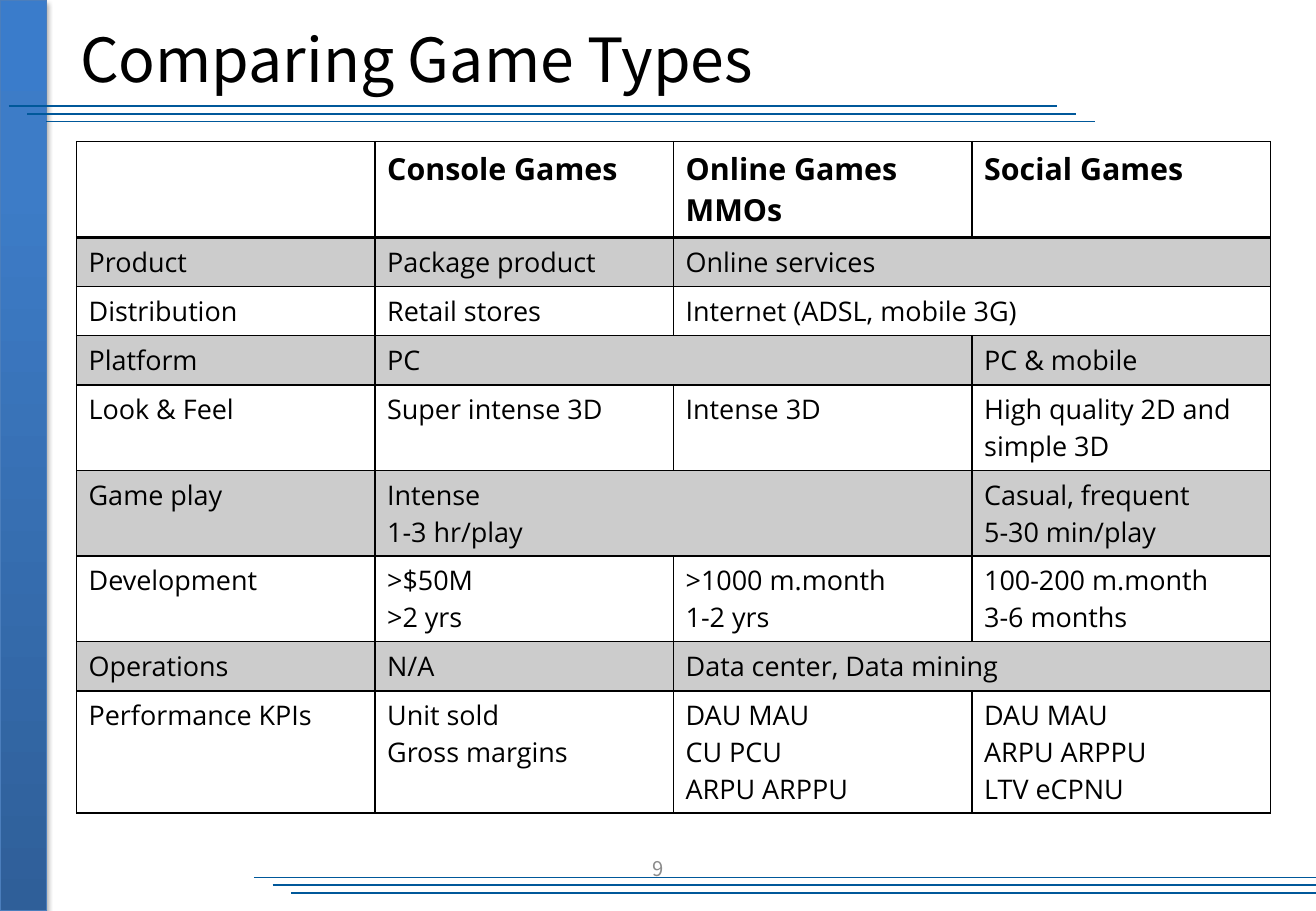
from copy import deepcopy

from lxml import etree
from pptx import Presentation
from pptx import util as u
from pptx.dml.color import RGBColor
from pptx.enum import shapes, text
from pptx.oxml.ns import qn

WIDTH, HEIGHT = 27.51, 19.05
HEAD_FONT, BODY_FONT = "Noto Sans CJK JP", "Open Sans"
BLACK, RULE_BLUE, ROW_GREY = "000000", "00589A", "CCCCCC"

# None continues the cell to its left.
ROWS = [
    ["", "Console Games", "Online Games\nMMOs", "Social Games"],
    ["Product", "Package product", "Online services", None],
    ["Distribution", "Retail stores", "Internet (ADSL, mobile 3G)", None],
    ["Platform", "PC", None, "PC & mobile"],
    ["Look & Feel", "Super intense 3D", "Intense 3D",
     "High quality 2D and simple 3D"],
    ["Game play", "Intense\n1-3 hr/play", None,
     "Casual, frequent\n5-30 min/play"],
    ["Development", ">$50M\n>2 yrs", ">1000 m.month\n1-2 yrs",
     "100-200 m.month\n3-6 months"],
    ["Operations", "N/A", "Data center, Data mining", None],
    ["Performance KPIs", "Unit sold\nGross margins",
     "DAU MAU\nCU PCU\nARPU ARPPU", "DAU MAU\nARPU ARPPU\nLTV eCPNU"],
]
ROW_LINES = [2, 1, 1, 1, 2, 2, 2, 1, 3]


def rgb(value):
    """Turn a hex string into a colour."""
    return RGBColor.from_string(value)


def box(left, top, width, height):
    """Give a position and size in centimetres."""
    return [u.Cm(v) for v in (left, top, width, height)]


def style(tf, size, font, color=BLACK, bold=False, align=None):
    """Format every paragraph of a text frame."""
    for p in tf.paragraphs:
        p.font.size, p.font.name, p.font.bold = u.Pt(size), font, bold
        p.font.color.rgb = rgb(color)
        p.alignment = align


def add_side_bar(s):
    """Draw the shaded bar along the left edge."""
    sp = s.shapes.add_shape(shapes.MSO_SHAPE.RECTANGLE,
                            *box(0, 0, 0.97, HEIGHT))
    sp.fill.gradient()
    sp.fill.gradient_angle = 90
    stop_list = sp._element.spPr.find(".//" + qn("a:gsLst"))
    stop_list.append(deepcopy(stop_list[0]))
    stops = [(0, "2F5F99"), (0.8, "3D7CC7"), (1, "3A7CCB")]
    for stop, (position, color) in zip(sp.fill.gradient_stops, stops):
        stop.position = position
        stop.color.rgb = rgb(color)
    sp.line.color.rgb = rgb("4B7EBC")
    sp.line.width = u.Pt(0.75)
    sp.shadow.inherit = False
    shadow = etree.SubElement(
        sp._element.spPr.find(qn("a:effectLst")), qn("a:outerShdw"),
        blurRad=str(u.Pt(3.1)), dist=str(u.Pt(1.8)), dir="5400000",
        rotWithShape="0")
    color = etree.SubElement(shadow, qn("a:srgbClr"), val=BLACK)
    etree.SubElement(color, qn("a:alpha"), val="35000")


def add_rules(s, left, top, length):
    """Draw three stepped lines, cut at the slide edge."""
    for i in range(3):
        x, y = left + 0.39 * i, top + 0.16 * i
        line = s.shapes.add_connector(
            shapes.MSO_CONNECTOR.STRAIGHT, u.Cm(x), u.Cm(y),
            u.Cm(min(x + length, WIDTH)), u.Cm(y))
        line.line.color.rgb = rgb(RULE_BLUE)
        line.line.width = u.Pt(1)
        etree.SubElement(line._element.spPr, qn("a:effectLst"))


def add_title(s, wording):
    """Place and format the title placeholder."""
    title = s.shapes.title
    title.left, title.top, title.width, title.height = box(
        1.42, 0.53, 24.77, 1.37)
    tf = title.text_frame
    tf.text = wording
    tf.vertical_anchor = text.MSO_ANCHOR.MIDDLE
    style(tf, 36, HEAD_FONT, align=text.PP_ALIGN.LEFT)


def add_page_number(s, number):
    """Write the page number at the foot."""
    tf = s.shapes.add_textbox(*box(9.4, 17.65, 8.71, 1.02)).text_frame
    tf.word_wrap = True
    tf.text = number
    tf.vertical_anchor = text.MSO_ANCHOR.MIDDLE
    style(tf, 12, HEAD_FONT, "8C8C8C", align=text.PP_ALIGN.CENTER)


def set_borders(cell, top, bottom):
    """Draw black borders; top and bottom widths are in points."""
    tc_pr = cell._tc.get_or_add_tcPr()
    for side, width in zip("LRTB", (1, 1, top, bottom)):
        ln = etree.SubElement(tc_pr, qn("a:ln" + side), w=str(u.Pt(width)))
        fill = etree.SubElement(ln, qn("a:solidFill"))
        etree.SubElement(fill, qn("a:srgbClr"), val=BLACK)


def format_cell(cell, row):
    """Set the borders, fill and font that belong to a row."""
    set_borders(cell, 2 if row == 1 else 1, 2 if row == 0 else 1)
    if row % 2:
        cell.fill.solid()
        cell.fill.fore_color.rgb = rgb(ROW_GREY)
    else:
        cell.fill.background()
    style(cell.text_frame, 16 if row else 18, BODY_FONT, bold=row == 0)


def add_comparison(s):
    """Build the table of game types."""
    heights = [0.27 + 0.76 * n for n in ROW_LINES]
    heights[0] = 2
    table = s.shapes.add_table(
        len(ROWS), len(ROWS[0]),
        *box(1.6, 2.96, 24.96, sum(heights))).table
    table.first_row = table.horz_banding = False
    for row, (values, height) in enumerate(zip(ROWS, heights)):
        table.rows[row].height = u.Cm(height)
        for col, value in enumerate(values):
            cell = table.cell(row, col)
            if value is None:
                table.cell(row, col - 1).merge(cell)
            else:
                cell.text = value
            format_cell(cell, row)


def main():
    """Build and save the slide."""
    prs = Presentation()
    prs.slide_width, prs.slide_height = u.Cm(WIDTH), u.Cm(HEIGHT)
    s = prs.slides.add_slide(prs.slide_layouts[5])
    add_side_bar(s)
    add_rules(s, left=0.18, top=2.22, length=21.92)
    add_rules(s, left=5.31, top=18.35, length=22.82)
    add_title(s, "Comparing Game Types")
    add_comparison(s)
    add_page_number(s, "9")
    prs.save("out.pptx")


main()
